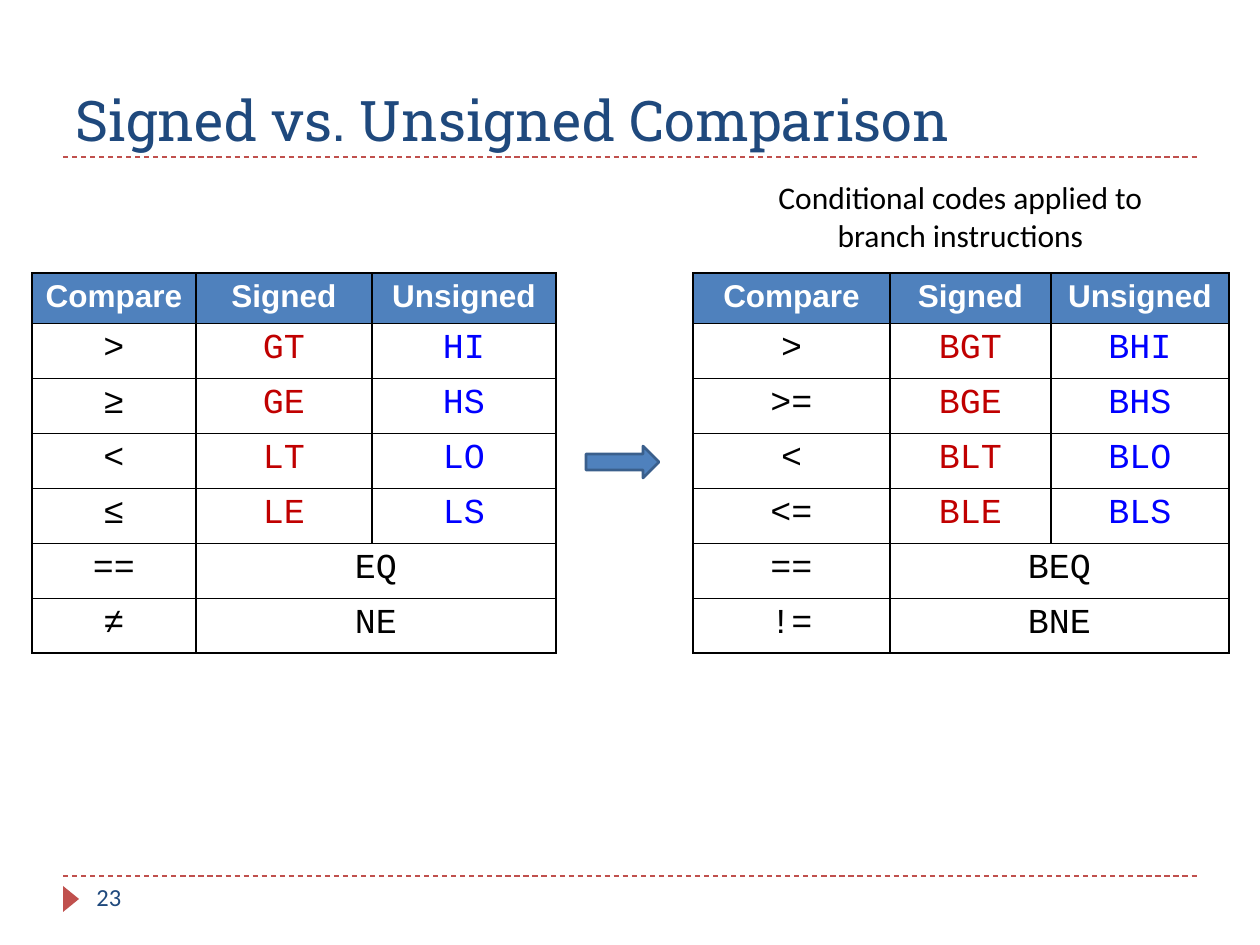
import pptx
import pptx.dml.color
import pptx.enum.dml
import pptx.enum.shapes
import pptx.enum.text
import pptx.oxml
import pptx.oxml.ns
import pptx.util
from lxml import etree

PX_PER_INCH = 126
NAVY, RED, BLUE, BLACK, WHITE = "1F497D", "C0504D", "4F81BD", "000000", "FFFFFF"
SIGNED, UNSIGNED = "C00000", "0000FF"
CENTER = pptx.enum.text.PP_ALIGN.CENTER
LEFT = pptx.enum.text.PP_ALIGN.LEFT
TOP = pptx.enum.text.MSO_ANCHOR.TOP
BOTTOM = pptx.enum.text.MSO_ANCHOR.BOTTOM
SHAPE = pptx.enum.shapes.MSO_SHAPE


def px(length):
    return pptx.util.Emu(round(length * 914400 / PX_PER_INCH))


def color(hex_string):
    return pptx.dml.color.RGBColor.from_string(hex_string)


class SlideBuilder:
    """Holds the current slide and draws styled elements on it."""

    header_height, row_height = 50, 55

    def __init__(self, slide):
        self.slide = slide

    def style(self, paragraph, font, size, hex_string, align=LEFT, bold=False):
        paragraph.alignment = align
        paragraph.font.name = font
        paragraph.font.size = pptx.util.Pt(size)
        paragraph.font.color.rgb = color(hex_string)
        paragraph.font.bold = bold

    def text(self, box, words, font, size, hex_string, align=LEFT, anchor=TOP):
        frame = self.slide.shapes.add_textbox(*map(px, box)).text_frame
        frame.word_wrap = True
        frame.vertical_anchor = anchor
        frame.text = words
        self.style(frame.paragraphs[0], font, size, hex_string, align)

    def rule(self, y):
        line = self.slide.shapes.add_connector(
            pptx.enum.shapes.MSO_CONNECTOR.STRAIGHT, px(63), px(y), px(1197), px(y))
        line.line.color.rgb = color(RED)
        line.line.width = pptx.util.Pt(0.75)
        line.line.dash_style = pptx.enum.dml.MSO_LINE.DASH
        etree.SubElement(line._element.spPr, pptx.oxml.ns.qn("a:effectLst"))

    def shape(self, kind, box, fill, outline=None, rotation=0):
        shape = self.slide.shapes.add_shape(kind, *map(px, box))
        shape.shadow.inherit = False
        shape.rotation = rotation
        shape.fill.solid()
        shape.fill.fore_color.rgb = color(fill)
        if outline:
            shape.line.color.rgb = color(outline)
            shape.line.width = pptx.util.Pt(1.5)
        else:
            shape.line.fill.background()

    def borders(self, cell):
        properties = cell._tc.get_or_add_tcPr()
        for side in ("lnL", "lnR", "lnT", "lnB"):
            properties.append(pptx.oxml.parse_xml(
                f'<a:{side} {pptx.oxml.ns.nsdecls("a")} w="12700"><a:solidFill>'
                f'<a:srgbClr val="{BLACK}"/></a:solidFill></a:{side}>'))

    def table(self, left, top, widths, rows):
        """Draw a header and body rows; a row of two cells spans the last columns."""
        height = self.header_height + self.row_height * (len(rows) - 1)
        table = self.slide.shapes.add_table(
            len(rows), len(widths), px(left), px(top), px(sum(widths)), px(height)).table
        table.horz_banding = False
        for column, width in zip(table.columns, widths):
            column.width = px(width)
        for index, words in enumerate(rows):
            header = index == 0
            table.rows[index].height = px(self.header_height if header else self.row_height)
            spans = len(words) < len(widths)
            if spans:
                table.cell(index, 1).merge(table.cell(index, len(widths) - 1))
            for column in range(len(widths)):
                cell = table.cell(index, column)
                self.borders(cell)
                if header:
                    cell.fill.solid()
                    cell.fill.fore_color.rgb = color(BLUE)
                else:
                    cell.fill.background()
                if column >= len(words):
                    continue
                cell.text = words[column]
                paragraph = cell.text_frame.paragraphs[0]
                if header:
                    self.style(paragraph, "Arial", 18, WHITE, CENTER, bold=True)
                else:
                    ink = BLACK if spans else (BLACK, SIGNED, UNSIGNED)[column]
                    self.style(paragraph, "Courier New", 20, ink, CENTER)


def main():
    presentation = pptx.Presentation()
    presentation.slide_width, presentation.slide_height = px(1260), px(945)
    builder = SlideBuilder(presentation.slides.add_slide(presentation.slide_layouts[6]))

    # Frame: dashed rules and page marker
    for y in (876, 157):
        builder.rule(y)
    builder.shape(SHAPE.ISOSCELES_TRIANGLE, (58, 891, 26, 16), RED, rotation=90)

    # Title, page number and caption
    builder.text((63, 1, 1071, 158), "Signed vs. Unsigned Comparison",
                 "Roboto Slab", 32, NAVY, anchor=BOTTOM)
    builder.text((84, 876, 273, 50), "23", "Calibri", 14, NAVY)
    builder.text((727, 172, 467, 89), "Conditional codes applied to branch instructions",
                 "Calibri", 18, BLACK, CENTER)

    # Arrow from condition codes to branch instructions
    builder.shape(SHAPE.RIGHT_ARROW, (586, 446, 73, 32), BLUE, outline="3A5F8C")

    # Tables: the branch names are the condition codes with a B in front
    header = ("Compare", "Signed", "Unsigned")
    codes = (("GT", "HI"), ("GE", "HS"), ("LT", "LO"), ("LE", "LS"), ("EQ",), ("NE",))
    tables = (
        (693, (197, 161, 178), (">", ">=", "<", "<=", "==", "!="), "B"),
        (32, (164, 176, 184), (">", "≥", "<", "≤", "==", "≠"), ""),
    )
    for left, widths, operators, prefix in tables:
        body = [(operator, *(prefix + code for code in pair))
                for operator, pair in zip(operators, codes)]
        builder.table(left, 273, widths, [header, *body])

    presentation.save("out.pptx")


if __name__ == "__main__":
    main()
